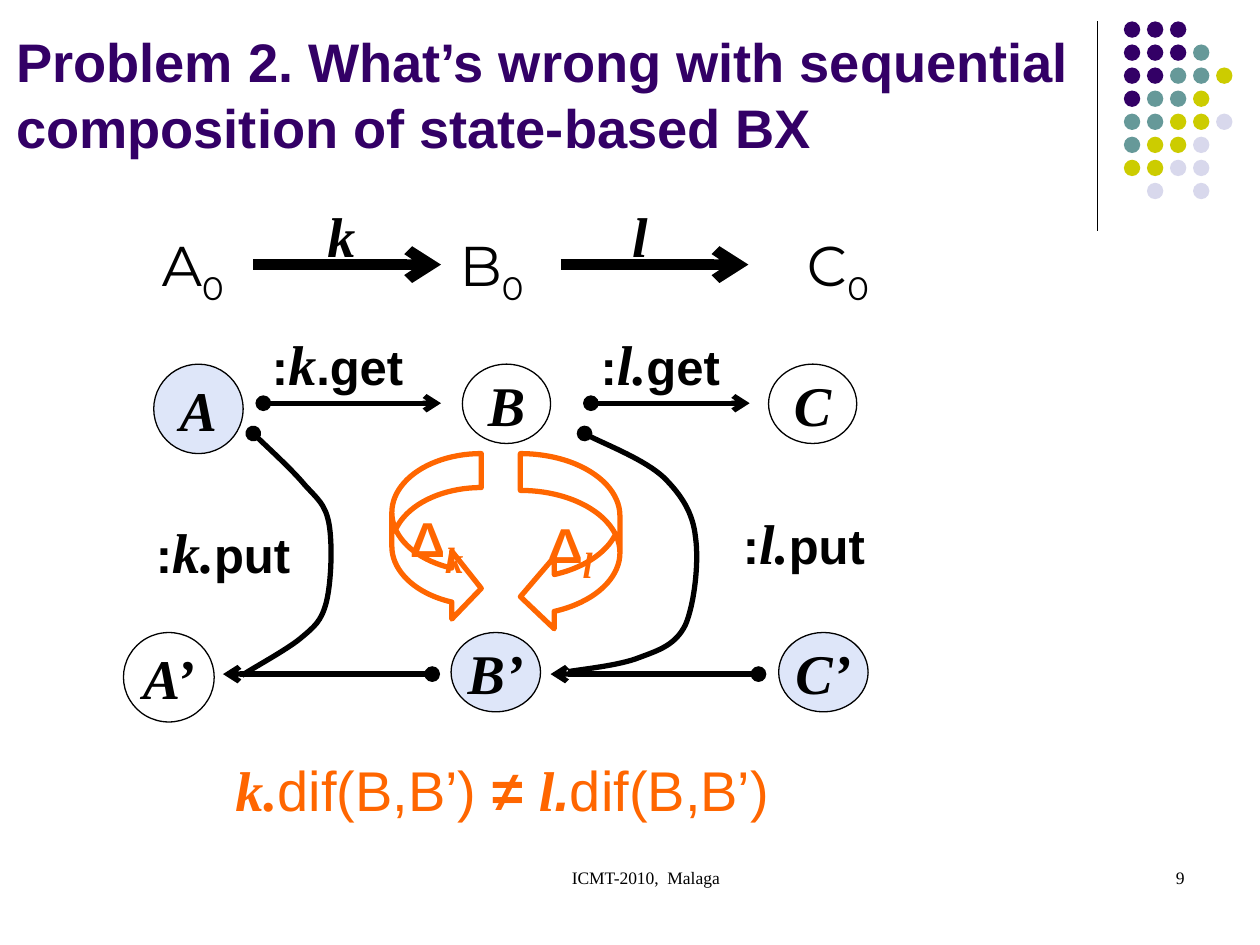
from lxml.etree import SubElement
from pptx import Presentation
from pptx.dml.color import RGBColor
from pptx.enum.shapes import MSO_CONNECTOR, MSO_SHAPE
from pptx.enum.text import MSO_ANCHOR, MSO_AUTO_SIZE, PP_ALIGN
from pptx.oxml.ns import qn
from pptx.util import Inches, Pt

COLORS = {"ink": "000000", "title": "330066", "accent": "FF6600", "node": "7E9CE8",
          "P": "330066", "T": "669999", "L": "CCCC00", "S": "D8D8EC"}
STYLES = {
    "title": ("Arial", 31, True, False, 0),
    "space": ("Montserrat", 32, False, False, 0),
    "index": ("Montserrat", 32, False, False, -25),
    "name": ("Times New Roman", 32, True, True, 0),
    "method": ("Arial", 28, True, False, 0),
    "formula": ("Arial", 32, False, False, 0),
    "relation": ("Arial", 32, True, False, 0),
    "dot": ("Arial", 32, True, True, 0),
    "delta index": ("Times New Roman", 36, True, True, -25),
    "footer": ("Times New Roman", 10, False, False, 0),
}

TITLE = "Problem 2. What’s wrong with sequential composition of state-based BX"
DOT_ROWS = ["PPP", "PPPT", "PPTTL", "PTTL", "TTLLS", "TLLS", "LLSS", " S S"]
DOT_LEFT, DOT_TOP, DOT_STEP, DOT_SIZE = 8.92, 0.17, 0.183, 0.13

TOP_ROW, SPACE_ROW, GET_ROW, PUT_ROW = 2.1, 1.78, 3.2, 5.35
NODE_TOP, UPDATED_TOP, GET_LABEL_TOP = 2.89, 5.02, 2.57
SPACES = [("A", 1.06), ("B", 3.43), ("C", 6.18)]
NODES = [
    ("A", 1.22, NODE_TOP, 0.71, 0.71, True),
    ("B", 3.67, NODE_TOP, 0.7, 0.63, False),
    ("C", 6.1, NODE_TOP, 0.7, 0.63, False),
    ("A’", 0.98, UPDATED_TOP, 0.72, 0.71, False),
    ("B’", 3.58, UPDATED_TOP, 0.71, 0.63, True),
    ("C’", 6.18, UPDATED_TOP, 0.71, 0.63, True),
]
ARROWS = [
    (2.01, 3.5, TOP_ROW, 6, None), (4.45, 5.94, TOP_ROW, 6, None),
    (2.09, 3.5, GET_ROW, 3, "oval"), (4.69, 5.95, GET_ROW, 3, "oval"),
    (3.43, 1.77, PUT_ROW, 3, "oval"), (6.02, 4.37, PUT_ROW, 3, "oval"),
]
PUT_CURVES = [
    [(2.01, 3.44), (2.08, 3.51), (2.32, 3.73), (2.42, 3.85), (2.52, 3.96), (2.58, 4),
     (2.61, 4.15), (2.64, 4.31), (2.63, 4.62), (2.59, 4.78), (2.55, 4.93), (2.5, 4.97),
     (2.38, 5.07), (2.27, 5.16), (2.01, 5.3), (1.92, 5.36)],
    [(4.64, 3.44), (4.74, 3.5), (5.12, 3.65), (5.27, 3.79), (5.41, 3.93), (5.5, 4.07),
     (5.52, 4.26), (5.55, 4.46), (5.51, 4.8), (5.44, 4.96), (5.36, 5.12), (5.23, 5.16),
     (5.07, 5.22), (4.92, 5.28), (4.63, 5.31), (4.51, 5.33)],
]
LABELS = [
    ((2.16, 1.55, 1.1, 0.64), 20, [("k", "name")]),
    ((4.53, 1.55, 1.1, 0.64), 20, [("l", "name")]),
    ((2.01, GET_LABEL_TOP, 1.34, 0.64), 17.5,
     [(":", "method"), ("k", "name"), (".get", "method")]),
    ((4.61, GET_LABEL_TOP, 1.26, 0.64), 17.5,
     [(":", "method"), ("l.", "name"), ("get", "method")]),
    ((1.06, 4.06, 1.42, 0.64), 17.5, [(":", "method"), ("k.", "name"), ("put", "method")]),
    ((5.79, 3.99, 1.18, 0.64), 17.5, [(":", "method"), ("l.", "name"), ("put", "method")]),
]
DELTAS = [
    ("k", MSO_SHAPE.CURVED_RIGHT_ARROW, (3.11, 3.6, 0.71, 1.34), (0.38, 0.76, 0.33)),
    ("l", MSO_SHAPE.CURVED_LEFT_ARROW, (4.13, 3.6, 0.79, 1.42), (0.37, 0.72, 0.34)),
]
INEQUALITY = [("k.", "name"), ("dif(B,B’) ", "formula"), ("≠ ", "relation"),
              ("l", "name"), (".", "dot"), ("dif(B,B’)", "formula")]
FOOTERS = [("ICMT-2010,  Malaga", (3.42, 6.83, 3.17, 0.5), PP_ALIGN.CENTER),
           ("9", (7.17, 6.83, 2.33, 0.5), PP_ALIGN.RIGHT)]


def rgb(color):
    return RGBColor.from_string(COLORS[color])


def write(frame, parts, color="ink", align=PP_ALIGN.CENTER, before=0):
    paragraph = frame.paragraphs[0]
    paragraph.alignment = align
    paragraph.space_before = Pt(before)
    for words, style in parts:
        run = paragraph.add_run()
        run.text = words
        font = run.font
        font.name, size, font.bold, font.italic, baseline = STYLES[style]
        font.size = Pt(size)
        font.color.rgb = rgb(color)
        if baseline:
            run._r.get_or_add_rPr().set("baseline", str(baseline * 1000))
    return paragraph


def add_label(slide, box, parts, grow=True, anchor=MSO_ANCHOR.TOP, **style):
    frame = slide.shapes.add_textbox(*map(Inches, box)).text_frame
    frame.word_wrap = True
    frame.vertical_anchor = anchor
    if grow:
        frame.auto_size = MSO_AUTO_SIZE.SHAPE_TO_FIT_TEXT
    return write(frame, parts, **style)


def add_outline(slide, preset, box, line=None, width=0.75):
    shape = slide.shapes.add_shape(preset, *map(Inches, box))
    shape.shadow.inherit = False
    shape.fill.background()
    if line:
        shape.line.color.rgb = rgb(line)
        shape.line.width = Pt(width)
    else:
        shape.line.fill.background()
    shape.text_frame.word_wrap = False
    shape.text_frame.vertical_anchor = MSO_ANCHOR.MIDDLE
    return shape


def style_line(shape, width, head=None, tail=None):
    shape.line.color.rgb = rgb("ink")
    shape.line.width = Pt(width)
    for tag, kind in (("a:headEnd", head), ("a:tailEnd", tail)):
        if kind:
            SubElement(shape.line._get_or_add_ln(), qn(tag)).set("type", kind)


def add_line(slide, start, end, width, head=None, tail=None):
    line = slide.shapes.add_connector(MSO_CONNECTOR.STRAIGHT, *map(Inches, start + end))
    style_line(line, width, head, tail)
    SubElement(line._element.spPr, qn("a:effectLst"))


def add_curve(slide, points):
    start, *rest = [(Inches(x), Inches(y)) for x, y in points]
    builder = slide.shapes.build_freeform(*start)
    builder.add_line_segments(rest, close=False)
    curve = builder.convert_to_shape()
    curve.shadow.inherit = False
    curve.fill.background()
    segments = list(curve._element.iter(qn("a:lnTo")))
    for first in range(0, len(segments), 3):
        bezier = SubElement(segments[first].getparent(), qn("a:cubicBezTo"))
        for segment in segments[first:first + 3]:
            bezier.append(segment[0])
            segment.getparent().remove(segment)
    style_line(curve, 3, head="oval")


def main():
    """Build the slide on sequential composition of state-based BX."""
    deck = Presentation()
    deck.slide_width, deck.slide_height = Inches(10), Inches(7.5)
    slide = deck.slides.add_slide(deck.slide_layouts[6])

    add_line(slide, (8.71, 0.17), (8.71, 1.83), 0.75)
    for row, dots in enumerate(DOT_ROWS):
        for column, color in enumerate(dots):
            if color != " ":
                box = (DOT_LEFT + column * DOT_STEP, DOT_TOP + row * DOT_STEP, DOT_SIZE, DOT_SIZE)
                dot = add_outline(slide, MSO_SHAPE.OVAL, box)
                dot.fill.solid()
                dot.fill.fore_color.rgb = rgb(color)
    add_label(slide, (0.03, -0.11, 8.75, 1.42), [(TITLE, "title")], grow=False,
              anchor=MSO_ANCHOR.BOTTOM, color="title", align=PP_ALIGN.LEFT)

    for name, left, top, width, height, filled in NODES:
        node = add_outline(slide, MSO_SHAPE.OVAL, (left, top, width, height), "ink")
        if filled:
            node.fill.solid()
            node.fill.fore_color.rgb = rgb("node")
            tint = next(node._element.spPr.iter(qn("a:srgbClr")))
            SubElement(tint, qn("a:alpha")).set("val", "25000")
        write(node.text_frame, [(name, "name")])
    for start, end, row, width, head in ARROWS:
        add_line(slide, (start, row), (end, row), width, head, "arrow")
    for points in PUT_CURVES:
        add_curve(slide, points)
    for name, left in SPACES:
        add_label(slide, (left, SPACE_ROW, 0.94, 0.71),
                  [(name, "space"), ("0", "index")], before=20)
    for box, before, parts in LABELS:
        add_label(slide, box, parts, before=before)
    for index, preset, box, adjustments in DELTAS:
        delta = add_outline(slide, preset, box, "accent", 3)
        for position, value in enumerate(adjustments):
            delta.adjustments[position] = value
        write(delta.text_frame, [("Δ", "method"), (index, "delta index")], "accent")

    add_label(slide, (1.77, 5.95, 4.57, 0.64), INEQUALITY, color="accent",
              align=PP_ALIGN.LEFT, before=20)
    for words, box, align in FOOTERS:
        footer = add_label(slide, box, [(words, "footer")], grow=False, align=align)
        footer._p.get_or_add_pPr().set("marL", str(Inches(0.24)))
    deck.save("out.pptx")


if __name__ == "__main__":
    main()
